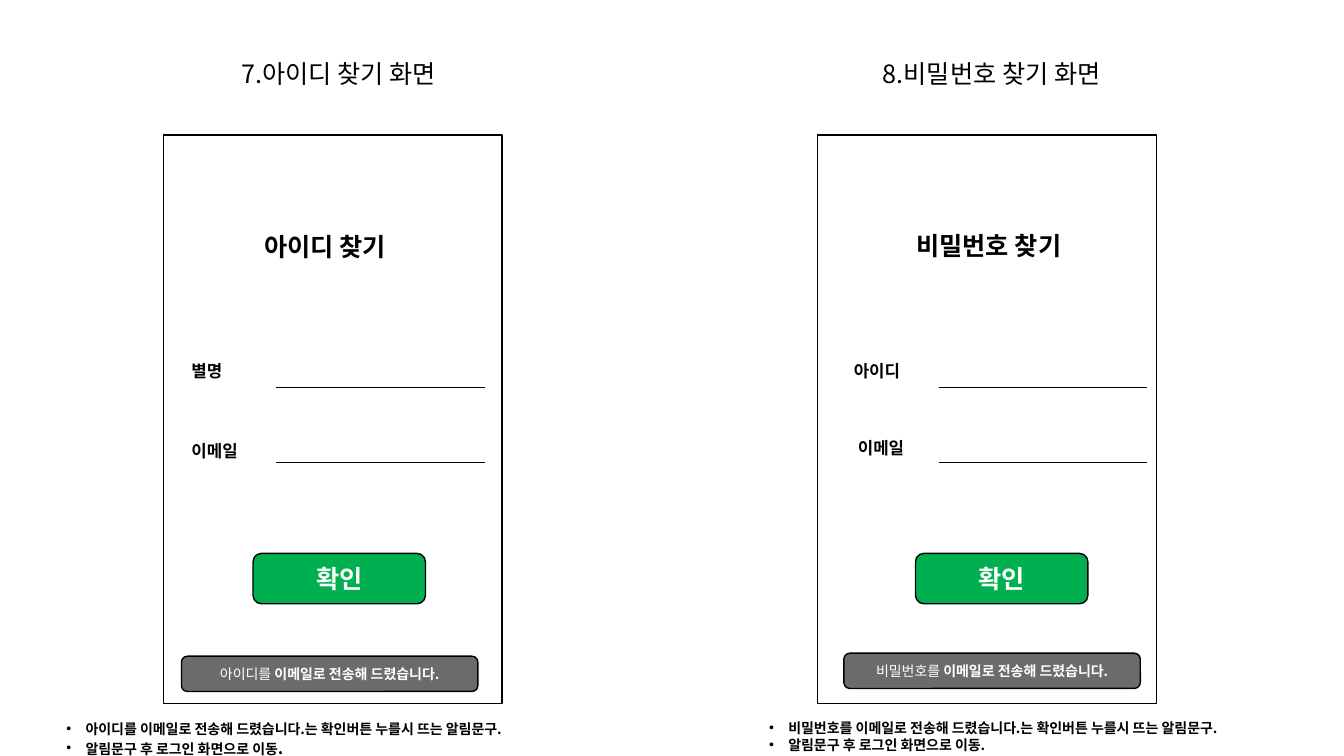
from dataclasses import dataclass

from lxml.etree import SubElement
from pptx import Presentation
from pptx.dml.color import RGBColor
from pptx.enum.shapes import MSO_CONNECTOR, MSO_SHAPE
from pptx.enum.text import MSO_ANCHOR, MSO_AUTO_SIZE, PP_ALIGN
from pptx.oxml.ns import qn
from pptx.util import Pt

EMU_PER_PX = 9144  # 100 px to the inch
FONT = "Noto Sans CJK KR"
BLACK, WHITE, GREEN = "000000", "FFFFFF", "00B050"
NOTICE_OPACITY = 58
BULLET_INDENT = 19
FIELD_LINES = (384, 459)


@dataclass(frozen=True)
class Box:
    left: int
    top: int
    width: int
    height: int

    def emu(self) -> list[int]:
        return [px(v) for v in (self.left, self.top, self.width, self.height)]


@dataclass(frozen=True)
class Run:
    text: str
    size: int
    bold: bool = True
    color: str = BLACK


@dataclass(frozen=True)
class Label:
    text: str
    box: Box


@dataclass(frozen=True)
class Screen:
    title: Label
    frame_left: int
    form_left: int
    heading: Label
    fields: tuple[Label, ...]
    notice_subject: str
    notice_top: int
    remarks_box: Box
    remarks: tuple[tuple[Run, ...], ...]


SCREENS = (
    Screen(
        title=Label("7.아이디 찾기 화면", Box(189, 53, 294, 40)),
        frame_left=162,
        form_left=180,
        heading=Label("아이디 찾기", Box(252, 225, 168, 40)),
        fields=(Label("별명", Box(180, 353, 166, 30)),
                Label("이메일", Box(180, 432, 122, 30))),
        notice_subject="아이디를 ",
        notice_top=651,
        remarks_box=Box(56, 710, 600, 91),
        remarks=((Run("아이디를 이메일로 전송해 드렸습니다.는 확인버튼 누를시 뜨는 알림문구.", 10),),
                 (Run("알림문구 후 로그인 화면으로 이동", 10), Run(".", 12))),
    ),
    Screen(
        title=Label("8.비밀번호 찾기 화면", Box(849, 53, 269, 40)),
        frame_left=811,
        form_left=837,
        heading=Label("비밀번호 찾기", Box(899, 224, 179, 40)),
        fields=(Label("아이디", Box(837, 353, 166, 30)),
                Label("이메일", Box(841, 429, 122, 30))),
        notice_subject="비밀번호를 ",
        notice_top=648,
        remarks_box=Box(753, 709, 651, 64),
        remarks=((Run("비밀번호를 이메일로 전송해 드렸습니다.는 확인버튼 누를시 뜨는 알림문구.", 10),),
                 (Run("알림문구 후 로그인 화면으로 이동.", 10),)),
    ),
)


def px(value: int) -> int:
    return value * EMU_PER_PX


def rgb(color: str) -> RGBColor:
    return RGBColor.from_string(color)


def add_runs(paragraph, runs: tuple[Run, ...]) -> None:
    for item in runs:
        run = paragraph.add_run()
        run.text = item.text
        font = run.font
        font.size, font.bold, font.name = Pt(item.size), item.bold, FONT
        font.color.rgb = rgb(item.color)
        SubElement(font._element, qn("a:ea"), typeface=FONT)


def add_bullet(paragraph) -> None:
    properties = paragraph._p.get_or_add_pPr()
    properties.set("marL", str(px(BULLET_INDENT)))
    properties.set("indent", str(px(-BULLET_INDENT)))
    SubElement(properties, qn("a:buFont"), typeface="Arial")
    SubElement(properties, qn("a:buChar"), char="•")


def add_text(slide, box: Box, paragraphs: tuple[tuple[Run, ...], ...],
             align: PP_ALIGN = PP_ALIGN.LEFT, bulleted: bool = False) -> None:
    frame = slide.shapes.add_textbox(*box.emu()).text_frame
    frame.word_wrap = True
    frame.auto_size = MSO_AUTO_SIZE.SHAPE_TO_FIT_TEXT
    for index, runs in enumerate(paragraphs):
        paragraph = frame.add_paragraph() if index else frame.paragraphs[0]
        paragraph.alignment = align
        if bulleted:
            add_bullet(paragraph)
        add_runs(paragraph, runs)


def add_panel(slide, preset: MSO_SHAPE, box: Box, fill: str | None = None,
              opacity: int = 100, runs: tuple[Run, ...] = ()) -> None:
    """Draw an outlined shape, filled and captioned when asked."""
    panel = slide.shapes.add_shape(preset, *box.emu())
    panel.shadow.inherit = False
    panel.line.color.rgb = rgb(BLACK)
    panel.line.width = Pt(1)
    if fill is None:
        panel.fill.background()
    else:
        panel.fill.solid()
        panel.fill.fore_color.rgb = rgb(fill)
    if opacity < 100:
        color = panel._element.spPr.find(qn("a:solidFill")).find(qn("a:srgbClr"))
        SubElement(color, qn("a:alpha"), val=str(opacity * 1000))
    if runs:
        frame = panel.text_frame
        frame.word_wrap = True
        frame.vertical_anchor = MSO_ANCHOR.MIDDLE
        frame.paragraphs[0].alignment = PP_ALIGN.CENTER
        add_runs(frame.paragraphs[0], runs)


def add_field_line(slide, left: int, top: int, width: int) -> None:
    line = slide.shapes.add_connector(
        MSO_CONNECTOR.STRAIGHT, px(left), px(top), px(left + width), px(top))
    line.line.color.rgb = rgb(BLACK)
    line.line.width = Pt(0.5)
    SubElement(line._element.spPr, qn("a:effectLst"))


def draw_screen(slide, screen: Screen) -> None:
    form = screen.form_left
    add_panel(slide, MSO_SHAPE.RECTANGLE, Box(screen.frame_left, 134, 336, 564))
    add_text(slide, screen.title.box, ((Run(screen.title.text, 18, False),),),
             PP_ALIGN.CENTER)
    add_text(slide, screen.heading.box, ((Run(screen.heading.text, 18),),))
    for field in screen.fields:
        add_text(slide, field.box, ((Run(field.text, 12),),))
    for top in FIELD_LINES:
        add_field_line(slide, form + 94, top, 207)
    add_panel(slide, MSO_SHAPE.ROUNDED_RECTANGLE, Box(form + 71, 549, 171, 50),
              GREEN, runs=(Run("확인", 18, color=WHITE),))
    add_text(slide, screen.remarks_box, screen.remarks, bulleted=True)
    add_panel(slide, MSO_SHAPE.ROUNDED_RECTANGLE,
              Box(form, screen.notice_top, 294, 35), BLACK, NOTICE_OPACITY,
              (Run(screen.notice_subject, 10, False, WHITE),
               Run("이메일로 전송해 드렸습니다.", 10, True, WHITE)))


def main() -> None:
    deck = Presentation()
    deck.slide_width, deck.slide_height = px(1333), px(750)
    slide = deck.slides.add_slide(deck.slide_layouts[6])
    for screen in SCREENS:
        draw_screen(slide, screen)
    deck.save("out.pptx")


if __name__ == "__main__":
    main()
